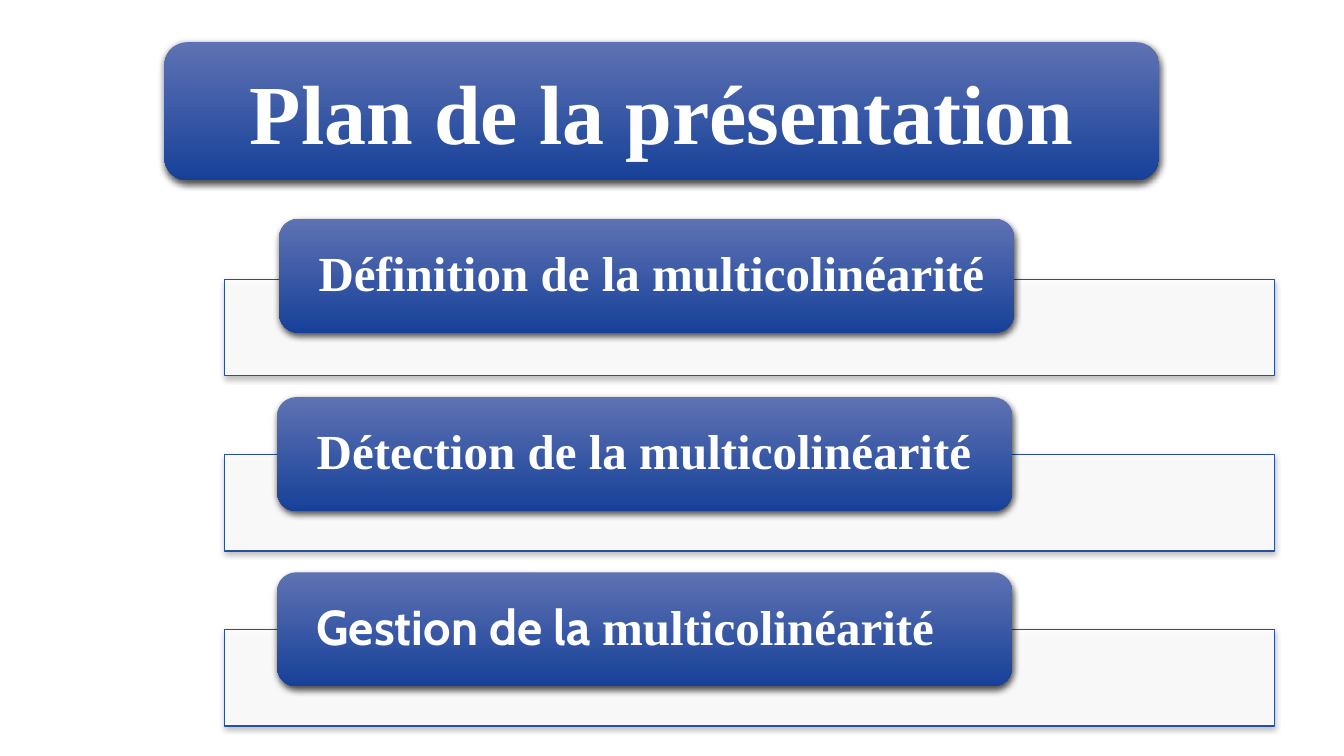
from lxml.etree import SubElement
from pptx import Presentation
from pptx.dml.color import RGBColor
from pptx.enum.shapes import MSO_SHAPE as Shape
from pptx.enum.text import MSO_ANCHOR as Anchor, PP_ALIGN as Align
from pptx.oxml.ns import qn
from pptx.util import Pt

WHITE = RGBColor(0xFF, 0xFF, 0xFF)
BORDER = RGBColor(0x27, 0x4F, 0xA4)
BLUE_TOP = RGBColor(0x5E, 0x72, 0xB3)
BLUE_BOTTOM = RGBColor(0x17, 0x41, 0x99)
SERIF = "Times New Roman"
SANS = "Cabin"


def add_shadow(box, blur, opacity):
    box.shadow.inherit = False
    effects = box._element.spPr.find(qn("a:effectLst"))
    shadow = SubElement(effects, qn("a:outerShdw"), blurRad=str(Pt(blur)),
                        dist=str(Pt(2)), dir="5400000", rotWithShape="0")
    color = SubElement(shadow, qn("a:srgbClr"), val="000000")
    SubElement(color, qn("a:alpha"), val=str(opacity * 1000))


def add_banner(left, top, width, height, spans, size, align):
    box = page.shapes.add_shape(Shape.ROUNDED_RECTANGLE, Pt(left), Pt(top), Pt(width), Pt(height))
    box.fill.gradient()
    box.fill.gradient_angle = 270
    for stop, color in zip(box.fill.gradient_stops, (BLUE_TOP, BLUE_BOTTOM)):
        stop.color.rgb = color
    box.line.fill.background()
    add_shadow(box, 5, 69)
    frame = box.text_frame
    frame.word_wrap = True
    frame.vertical_anchor = Anchor.MIDDLE
    para = frame.paragraphs[0]
    para.alignment = align
    for text, font in spans:
        span = para.add_run()
        span.text = text
        span.font.name = font
        span.font.size = Pt(size)
        span.font.bold = True
        span.font.color.rgb = WHITE
    return box


deck = Presentation()
deck.slide_width, deck.slide_height = Pt(960), Pt(540)
page = deck.slides.add_slide(deck.slide_layouts[6])
page.background.fill.solid()
page.background.fill.fore_color.rgb = WHITE

sections = [
    (199.4, 156.2, [("Définition de la multicolinéarité", SERIF)]),
    (198, 283.7, [("Détection de la multicolinéarité", SERIF)]),
    (198, 408.8, [("Gestion de la ", SANS), ("multicolinéarité", SERIF)]),
]
for index, (left, top, spans) in enumerate(sections):
    panel = page.shapes.add_shape(Shape.RECTANGLE, Pt(160.6), Pt(199.4 + 125 * index),
                                  Pt(749.5), Pt(69.2))
    panel.fill.solid()
    panel.fill.fore_color.rgb = WHITE
    fill_color = panel._element.spPr.find(qn("a:solidFill")).find(qn("a:srgbClr"))
    SubElement(fill_color, qn("a:alpha"), val="90000")
    panel.line.color.rgb = BORDER
    panel.line.width = Pt(0.75)
    add_shadow(panel, 4, 28)

    label = add_banner(left, top, 525, 81.4, spans, 35, Align.LEFT)
    frame = label.text_frame
    frame.margin_left, frame.margin_right = Pt(24.2), Pt(16)
    frame.margin_top = frame.margin_bottom = 0
    frame.paragraphs[0].line_spacing = 0.9

add_banner(117.4, 30.2, 710.6, 98.6, [("Plan de la présentation", SERIF)], 60, Align.CENTER)

deck.save("out.pptx")
